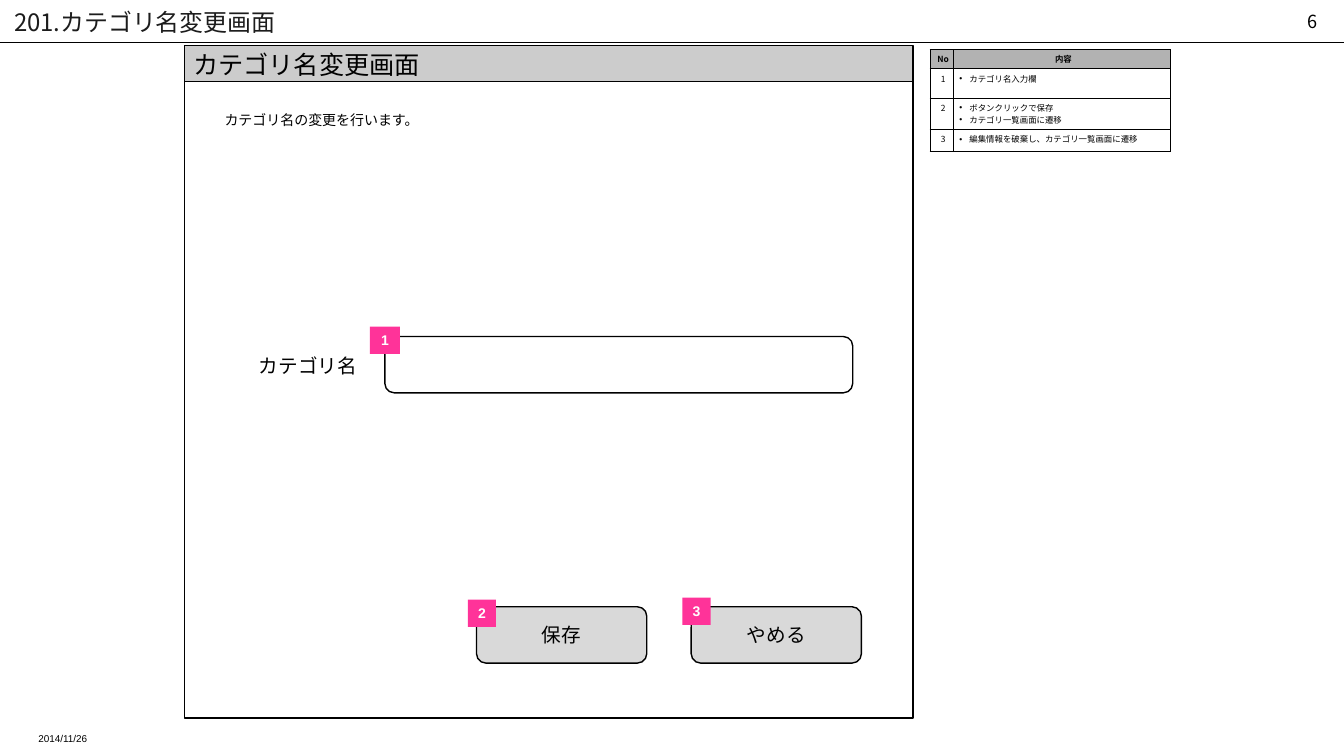
from dataclasses import dataclass, field
from typing import Any

from lxml import etree
from pptx import Presentation
from pptx.dml.color import RGBColor
from pptx.enum.shapes import MSO_CONNECTOR, MSO_SHAPE
from pptx.enum.text import MSO_ANCHOR, MSO_AUTO_SIZE, PP_ALIGN
from pptx.oxml import parse_xml
from pptx.oxml.ns import nsdecls, qn
from pptx.util import Cm, Pt

RECT, ROUND = MSO_SHAPE.RECTANGLE, MSO_SHAPE.ROUNDED_RECTANGLE
LEFT, MID, RIGHT = PP_ALIGN.LEFT, PP_ALIGN.CENTER, PP_ALIGN.RIGHT
TOP, CENTRE = MSO_ANCHOR.TOP, MSO_ANCHOR.MIDDLE
FIXED = MSO_AUTO_SIZE.NONE
STRAIGHT = MSO_CONNECTOR.STRAIGHT
ARIAL, NOTO = "Arial", "Noto Sans CJK JP"
BLACK, WHITE, PINK = "000000", "FFFFFF", "FF3399"
GREY, BAR, HEAD = "D9D9D9", "CCCCCC", "B2B2B2"
WIDE, SLIM = (0.36, 0.18, 0.36, 0.18), (0.15, 0.09, 0.08, 0.09)
PLAIN = (0.25, 0.13, 0.25, 0.13)


@dataclass(frozen=True)
class Style:
    """Look of a piece of text."""
    size: float
    face: str = ARIAL
    color: str = BLACK
    bold: bool = False
    align: Any = LEFT
    anchor: Any = TOP
    pad: tuple[float, ...] = PLAIN


@dataclass(frozen=True)
class Item:
    """A box in centimetres; one without a shape is a text box."""
    box: tuple[float, float, float, float]
    text: str = ""
    style: Style = field(default_factory=lambda: Style(10))
    kind: Any = None
    fill: str = WHITE
    line: str = ""


def hue(code: str) -> RGBColor:
    """Turn a hex string into a colour."""
    return RGBColor.from_string(code)


def apply(target: Any, values: dict[str, Any]) -> None:
    """Set each named value on the target."""
    for name, value in values.items():
        setattr(target, name, value)


def place(box: tuple[float, ...]) -> list[Any]:
    """Turn centimetres into lengths."""
    return [Cm(side) for side in box]


def pads(style: Style) -> dict[str, Any]:
    """Name the four margins of a style."""
    names = ("margin_left", "margin_top", "margin_right", "margin_bottom")
    return dict(zip(names, place(style.pad)))


def write(frame: Any, text: str, style: Style) -> None:
    """Fill a text frame, one paragraph a line."""
    frame.text = text
    for para in frame.paragraphs:
        para.alignment = style.align
        for run in para.runs:
            apply(run.font, {"size": Pt(style.size), "name": style.face,
                             "bold": style.bold})
            run.font.color.rgb = hue(style.color)
            east = etree.SubElement(run.font._element, qn("a:ea"))
            east.set("typeface", NOTO)


def setup(frame: Any, style: Style) -> None:
    """Format a text frame."""
    apply(frame, {"word_wrap": True, "auto_size": FIXED,
                  "vertical_anchor": style.anchor, **pads(style)})


def draw(shapes: Any, item: Item) -> None:
    """Draw one box."""
    if item.kind is None:
        shape = shapes.add_textbox(*place(item.box))
    else:
        shape = shapes.add_shape(item.kind, *place(item.box))
        shape.shadow.inherit = False
        shape.fill.solid()
        shape.fill.fore_color.rgb = hue(item.fill)
        if item.line:
            shape.line.color.rgb = hue(item.line)
            shape.line.width = Pt(1)
        else:
            shape.line.fill.background()
    if item.text:
        setup(shape.text_frame, item.style)
        write(shape.text_frame, item.text, item.style)


def rule(shapes: Any, width: float, top: float) -> None:
    """Draw the line under the title."""
    line = shapes.add_connector(STRAIGHT, *place((0, top, width, top)))
    line.line.color.rgb = hue(BLACK)
    line.line.width = Pt(0.75)
    etree.SubElement(line._element.spPr, qn("a:effectLst"))


def bullet(para: Any) -> None:
    """Give a paragraph a hanging bullet."""
    props = para._p.get_or_add_pPr()
    apply_to = {"marL": Cm(0.25), "indent": Cm(-0.25)}
    for name, value in apply_to.items():
        props.set(name, str(int(value)))
    etree.SubElement(props, qn("a:buFont")).set("typeface", ARIAL)
    etree.SubElement(props, qn("a:buChar")).set("char", "•")


def border(cell: Any) -> None:
    """Line a cell on all sides."""
    props = cell._tc.get_or_add_tcPr()
    for side in ("lnL", "lnR", "lnT", "lnB"):
        props.append(parse_xml(
            f'<a:{side} {nsdecls("a")} w="{int(Pt(1))}"><a:solidFill>'
            f'<a:srgbClr val="{BLACK}"/></a:solidFill></a:{side}>'))


def grid(shapes: Any, rows: list[tuple[str, str]], cols: tuple[float, ...],
         highs: tuple[float, ...]) -> None:
    """Draw the table of notes."""
    box = (23.44, 1.25, sum(cols), sum(highs))
    table = shapes.add_table(len(rows), len(cols), *place(box)).table
    apply(table, {"first_row": False, "horz_banding": False})
    for col, width in zip(table.columns, cols):
        col.width = Cm(width)
    for r, (row, high) in enumerate(zip(rows, highs)):
        table.rows[r].height = Cm(high)
        for c, text in enumerate(row):
            cell, note = table.cell(r, c), r > 0 and c > 0
            style = Style(6, NOTO, bold=r == 0, align=LEFT if note else MID,
                          pad=SLIM)
            border(cell)
            apply(cell, {"vertical_anchor": TOP, **pads(style)})
            cell.fill.solid()
            cell.fill.fore_color.rgb = hue(WHITE if r else HEAD)
            write(cell.text_frame, text, style)
            if note:
                for para in cell.text_frame.paragraphs:
                    bullet(para)


def title(shape: Any, text: str) -> None:
    """Move and format the title."""
    names = ("left", "top", "width", "height")
    apply(shape, dict(zip(names, place((0, 0.1, 30.48, 0.89)))))
    style = Style(17.1, NOTO, "1C1C1C", anchor=CENTRE, pad=WIDE)
    setup(shape.text_frame, style)
    write(shape.text_frame, text, style)


LABEL = Style(14, align=RIGHT)
BUTTON = Style(14, align=MID, anchor=CENTRE)
TAG = Style(10, color=WHITE, bold=True, align=MID, anchor=CENTRE)
PAGE = Style(12.9, NOTO, align=RIGHT, pad=(0.25, 0.04, 0.25, 0))
DATE = Style(7.1, pad=WIDE)

FORM = [
    Item((25.55, 0.23, 7.9, 0.38), "6", PAGE),
    Item((4.65, 1.14, 18.36, 13.41), kind=RECT, fill=BAR, line=BLACK),
    Item((4.65, 2.06, 18.36, 16.03), kind=RECT, line=BLACK),
    Item((0.61, 18.29, 7.9, 0.38), "2014/11/26", DATE),
    Item((4.62, 1.12, 7.01, 1.02), "カテゴリ名変更画面", Style(18)),
    Item((9.7, 8.48, 11.79, 1.42), kind=ROUND, line=BLACK),
    Item((5.41, 2.67, 7.34, 0.69), "カテゴリ名の変更を行います。"),
    Item((5.11, 8.79, 4.14, 0.86), "カテゴリ名", LABEL),
]
FORM += [Item((left, 15.29, 4.29, 1.42), text, BUTTON, ROUND, GREY, BLACK)
         for left, text in ((12.01, "保存"), (17.42, "やめる"))]
FORM += [Item((left, top, width, 0.69), str(num), TAG, RECT, PINK)
         for num, (left, top, width) in enumerate(
             ((9.32, 8.23, 0.76), (11.79, 15.11, 0.71),
              (17.2, 15.06, 0.71)), 1)]
NOTES = [
    ("No", "内容"),
    ("1", "カテゴリ名入力欄"),
    ("2", "ボタンクリックで保存\nカテゴリ一覧画面に遷移"),
    ("3", "編集情報を破棄し、カテゴリ一覧画面に遷移"),
]

deck = Presentation()
apply(deck, {"slide_width": Cm(33.87), "slide_height": Cm(19.05)})
slide = deck.slides.add_slide(deck.slide_layouts[5])
title(slide.shapes.title, "201.カテゴリ名変更画面")
rule(slide.shapes, 33.87, 1.06)
for entry in FORM:
    draw(slide.shapes, entry)
grid(slide.shapes, NOTES, (0.59, 5.47), (0.47, 0.74, 0.78, 0.56))
deck.save("out.pptx")
